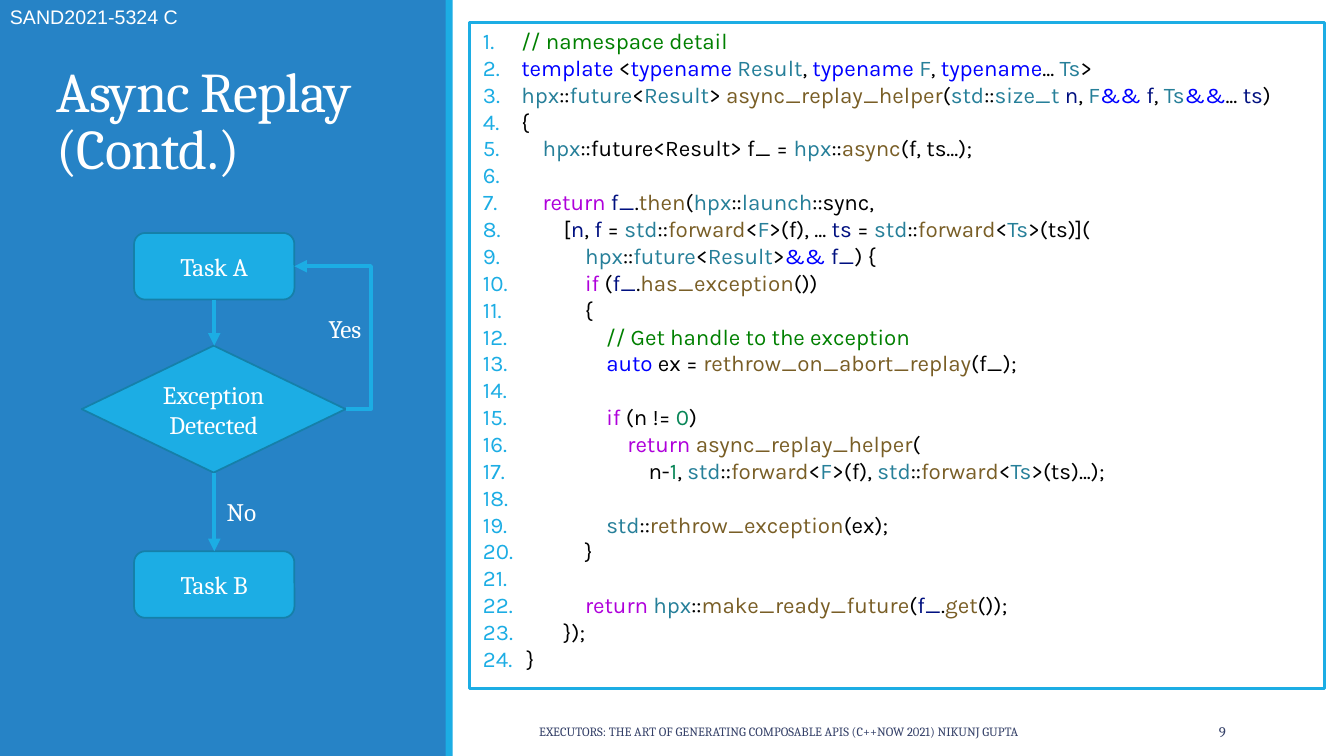
from lxml.etree import SubElement
from pptx import Presentation
from pptx.dml.color import RGBColor
from pptx.enum.shapes import MSO_CONNECTOR as LINK, MSO_SHAPE as SHAPE
from pptx.enum.text import MSO_ANCHOR as ANCHOR, PP_ALIGN as ALIGN
from pptx.oxml.ns import qn
from pptx.util import Cm, Pt

WHITE = RGBColor(0xFF, 0xFF, 0xFF)
BLUE = RGBColor(0x26, 0x83, 0xC6)
CYAN = RGBColor(0x1C, 0xAD, 0xE4)
EDGE = RGBColor(0x15, 0x80, 0xA9)
SLATE = RGBColor(0x34, 0x40, 0x68)

# Code colours by key; "~" and a key switch the colour inside a line.
INK = {
    "k": RGBColor(0x00, 0x00, 0x00),  # plain
    "c": RGBColor(0x00, 0x80, 0x00),  # comment
    "b": RGBColor(0x00, 0x00, 0xFF),  # keyword
    "t": RGBColor(0x26, 0x7F, 0x99),  # type
    "f": RGBColor(0x79, 0x5E, 0x26),  # function
    "v": RGBColor(0x00, 0x10, 0x80),  # variable
    "r": RGBColor(0xAF, 0x00, 0xDB),  # control flow
    "n": RGBColor(0x09, 0x86, 0x58),  # number
}

CODE = [
    "~c// namespace detail",
    "~btemplate~k <~btypename ~tResult~k, ~btypename ~tF~k, ~btypename~k... ~tTs~k>",
    "~thpx~k::~tfuture~k<~tResult~k> ~fasync_replay_helper~k(~tstd~k::~tsize_t ~vn~k, ~tF~b&& ~vf~k, ~tTs~b&&~k... ~vts~k)",
    "~k{",
    "~k    ~thpx~k::future<Result> f_ = ~thpx~k::~fasync~k(f, ts...);",
    "~k ",
    "~k    ~rreturn ~vf_~k.~fthen~k(~thpx~k::~tlaunch~k::sync,",
    "~k        [~vn~k, ~vf~k = ~tstd~k::~fforward~k<~tF~k>(f), ... ~vts~k = ~tstd~k::~fforward~k<~tTs~k>(ts)](",
    "~k            ~thpx~k::~tfuture~k<~tResult~k>~b&& ~vf_~k) {",
    "~k            ~rif~k (~vf_~k.~fhas_exception~k())",
    "~k            {",
    "~c                // Get handle to the exception",
    "~k                ~bauto~k ex = ~frethrow_on_abort_replay~k(f_);",
    "~k ",
    "~k                ~rif~k (n != ~n0~k)",
    "~k                    ~rreturn ~fasync_replay_helper~k(",
    "~k                        n-~n1~k, ~tstd~k::~fforward~k<~tF~k>(f), ~tstd~k::~fforward~k<~tTs~k>(ts)...);",
    "~k ",
    "~k                ~tstd~k::~frethrow_exception~k(ex);",
    "~k            }",
    "~k ",
    "~k            ~rreturn ~thpx~k::~fmake_ready_future~k(~vf_~k.~fget~k());",
    "~k        });",
    "~k }",
]

prs = Presentation()
prs.slide_width, prs.slide_height = Cm(33.87), Cm(19.05)
slide = prs.slides.add_slide(prs.slide_layouts[6])
shapes = slide.shapes


def block(kind, box, fill, line=None, width=0):
    """Add a filled preset shape; box is left, top, width, height in cm."""
    shape = shapes.add_shape(kind, *map(Cm, box))
    shape.shadow.inherit = False
    shape.fill.solid()
    shape.fill.fore_color.rgb = fill
    if line is None:
        shape.line.fill.background()
    else:
        shape.line.color.rgb = line
        shape.line.width = Pt(width)
    return shape


def write(shape, text, size, color=WHITE, align=ALIGN.LEFT, anchor=ANCHOR.MIDDLE, wrap=True, face="Cambria"):
    frame = shape.text_frame
    frame.text = text
    frame.word_wrap = wrap
    frame.vertical_anchor = anchor
    for para in frame.paragraphs:
        para.alignment = align
        for run in para.runs:
            run.font.name = face
            run.font.size = Pt(size)
            run.font.color.rgb = color
    return frame


# Side panel
block(SHAPE.RECTANGLE, (0, 0, 11.25, 19.05), BLUE)
block(SHAPE.RECTANGLE, (11.23, 0, 0.18, 19.05), CYAN)

# Code listing
panel = block(SHAPE.RECTANGLE, (11.84, 0.56, 21.54, 16.79), WHITE, CYAN, 2)
frame = panel.text_frame
frame.word_wrap = True
frame.vertical_anchor = ANCHOR.TOP
frame.margin_left = frame.margin_right = 0
for num, row in enumerate(CODE):
    para = frame.add_paragraph() if num else frame.paragraphs[0]
    para.alignment = ALIGN.LEFT
    para.line_spacing = Pt(19.2)
    props = para._p.get_or_add_pPr()
    props.set("marL", str(Cm(1.3)))
    props.set("indent", str(-Cm(0.97)))
    tint = SubElement(props, qn("a:buClr"))
    SubElement(tint, qn("a:srgbClr")).set("val", str(CYAN))
    SubElement(props, qn("a:buFont")).set("typeface", "Karla")
    SubElement(props, qn("a:buAutoNum")).set("type", "arabicPeriod")
    for part in row.split("~")[1:]:
        run = para.add_run()
        run.text = part[1:]
        run.font.name = "Karla"
        run.font.size = Pt(16)
        run.font.color.rgb = INK[part[0]]

# Footer, page number, labels and report tag
for text, box, size, color, align, wrap, face in (
    ("EXECUTORS: THE ART OF GENERATING COMPOSABLE APIS (C++NOW 2021) NIKUNJ GUPTA",
     (13.34, 17.93, 12.9, 1.02), 9, SLATE, ALIGN.LEFT, True, "Cambria"),
    ("9", (27.51, 17.93, 3.63, 1.02), 10.5, SLATE, ALIGN.RIGHT, True, "Cambria"),
    ("No", (5.46, 12.37, 1.3, 1.02), 18, WHITE, ALIGN.LEFT, False, "Cambria"),
    ("Yes", (8.03, 7.77, 1.4, 1.02), 18, WHITE, ALIGN.LEFT, False, "Cambria"),
    ("SAND2021-5324 C", (0, 0, 4.8, 0.86), 14, WHITE, ALIGN.LEFT, False, "Arial"),
):
    write(shapes.add_textbox(*map(Cm, box)), text, size, color, align, wrap=wrap, face=face)

# Title
title = shapes.add_textbox(Cm(1.17), Cm(1.02), Cm(8.89), Cm(3.66))
for para in write(title, "Async Replay\n(Contd.)", 40, anchor=ANCHOR.BOTTOM).paragraphs:
    para.line_spacing = 0.85
    for run in para.runs:
        run._r.get_or_add_rPr().set("spc", "-50")

# Flow chart
for kind, text, box in (
    (SHAPE.ROUNDED_RECTANGLE, "Task A", (3.38, 5.87, 4.04, 1.68)),
    (SHAPE.ROUNDED_RECTANGLE, "Task B", (3.38, 13.89, 4.04, 1.68)),
    (SHAPE.DIAMOND, "Exception\nDetected", (2.06, 8.71, 6.65, 3.2)),
):
    write(block(kind, box, CYAN, EDGE, 1.25), text, 18, align=ALIGN.CENTER)

for kind, ends in (
    (LINK.STRAIGHT, (5.4, 7.55, 5.4, 8.71)),
    (LINK.STRAIGHT, (5.4, 11.91, 5.4, 13.89)),
    (LINK.ELBOW, (8.72, 10.31, 7.42, 6.71)),
):
    link = shapes.add_connector(kind, *map(Cm, ends))
    link.line.color.rgb = CYAN
    link.line.width = Pt(3)
    props = link._element.spPr
    SubElement(props.find(qn("a:ln")), qn("a:tailEnd")).set("type", "triangle")
    SubElement(props, qn("a:effectLst"))
    if kind == LINK.ELBOW:
        geom = props.find(qn("a:prstGeom"))
        bend = SubElement(geom.get_or_add_avLst(), qn("a:gd"))
        bend.set("name", "adj1")
        bend.set("fmla", "val -48200")

prs.save("out.pptx")
